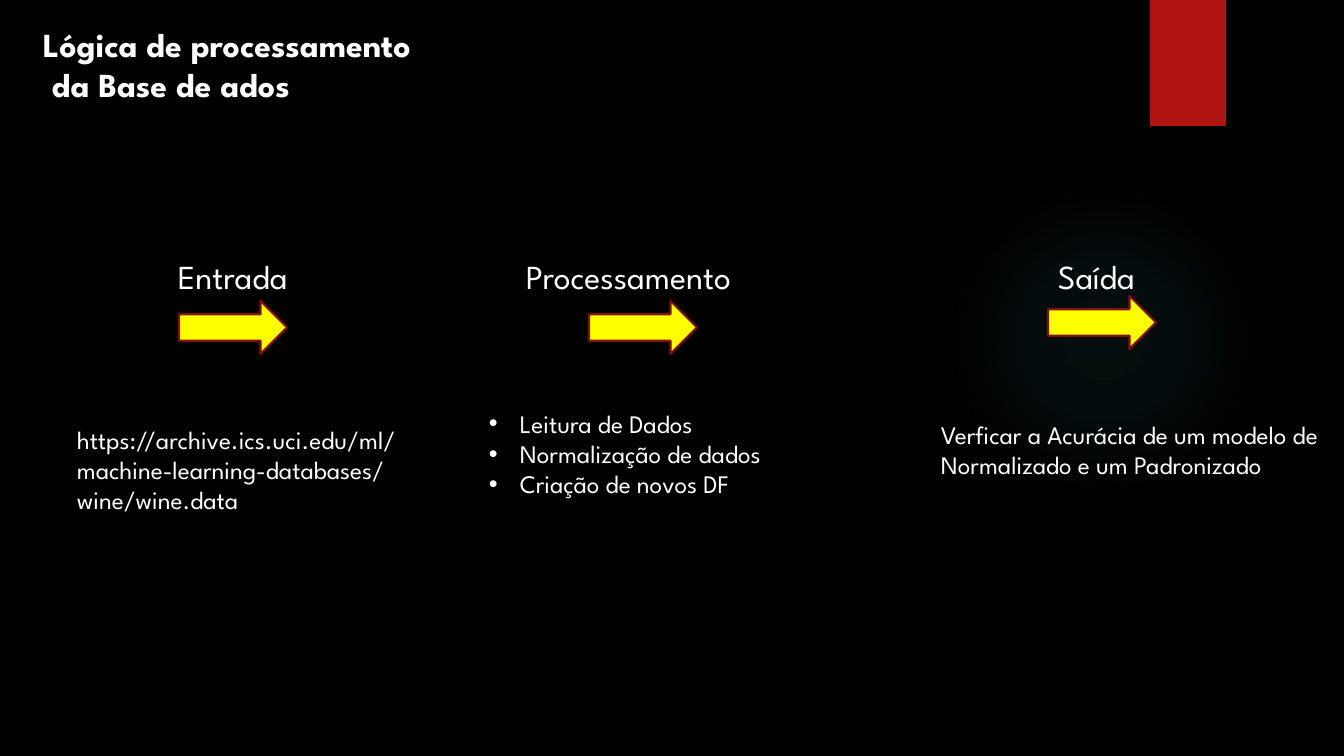
from lxml import etree
from pptx import Presentation
from pptx.dml.color import RGBColor
from pptx.enum.shapes import MSO_SHAPE
from pptx.enum.text import MSO_AUTO_SIZE
from pptx.oxml import parse_xml
from pptx.oxml.ns import nsdecls, qn
from pptx.util import Emu, Pt

RECTANGLE = MSO_SHAPE.RECTANGLE
ELLIPSE = MSO_SHAPE.OVAL
RIGHT_ARROW = MSO_SHAPE.RIGHT_ARROW
GROW = MSO_AUTO_SIZE.SHAPE_TO_FIT_TEXT

EMU_PER_PX = 914400 / 100.8
FONT = "League Spartan"
COLORS = {
    "background": "000000",
    "text": "FFFFFF",
    "ribbon": "B01513",
    "arrow": "FFFF00",
    "outline": "82100E",
    "glow": "50B9C1",
}
GLOW_STOPS = [(0, 7), (36, 6), (69, 0)]
BULLET_INDENT = 31
ARROW_SIZE = (108, 53)


def px(length):
    return Emu(round(length * EMU_PER_PX))


def color(name):
    return RGBColor.from_string(COLORS[name])


def write_text(frame, lines, size=18, bold=False, spacing=None, bullet=None):
    for index, line in enumerate(lines):
        para = frame.paragraphs[0] if index == 0 else frame.add_paragraph()
        if spacing:
            para.line_spacing = spacing
        if bullet:
            properties = para._p.get_or_add_pPr()
            properties.set("marL", str(px(BULLET_INDENT)))
            properties.set("indent", str(-px(BULLET_INDENT)))
            etree.SubElement(properties, qn("a:buFont")).set("typeface", "Arial")
            etree.SubElement(properties, qn("a:buChar")).set("char", bullet)
        span = para.add_run()
        span.text = line
        span.font.name = FONT
        span.font.size = Pt(size)
        span.font.bold = bold
        span.font.color.rgb = color("text")


class FlowSlide:
    def __init__(self, deck):
        self.page = deck.slides.add_slide(deck.slide_layouts[6])
        fill = self.page.background.fill
        fill.solid()
        fill.fore_color.rgb = color("background")

    def shape(self, kind, left, top, width, height, fill=None, line=None):
        shape = self.page.shapes.add_shape(
            kind, px(left), px(top), px(width), px(height))
        shape.shadow.inherit = False
        if fill:
            shape.fill.solid()
            shape.fill.fore_color.rgb = color(fill)
        if line:
            shape.line.color.rgb = color(line)
            shape.line.width = Pt(1.5)
        else:
            shape.line.fill.background()
        return shape

    def glow(self, left, top, size):
        shape = self.shape(ELLIPSE, left, top, size, size)
        stops = "".join(
            f'<a:gs pos="{place * 1000}"><a:srgbClr val="{COLORS["glow"]}">'
            f'<a:alpha val="{alpha * 1000}"/></a:srgbClr></a:gs>'
            for place, alpha in GLOW_STOPS)
        gradient = parse_xml(
            f'<a:gradFill {nsdecls("a")}><a:gsLst>{stops}</a:gsLst>'
            '<a:path path="circle"><a:fillToRect l="50000" t="50000" '
            'r="50000" b="50000"/></a:path></a:gradFill>')
        shape._element.spPr.find(qn("a:prstGeom")).addnext(gradient)

    def arrow(self, left, top):
        self.shape(RIGHT_ARROW, left, top, *ARROW_SIZE,
                   fill="arrow", line="outline")

    def text(self, lines, left, top, width, height, **style):
        box = self.page.shapes.add_textbox(
            px(left), px(top), px(width), px(height))
        box.text_frame.word_wrap = True
        box.text_frame.auto_size = GROW
        write_text(box.text_frame, lines, **style)


STAGES = [
    {
        "heading": ("Entrada", 168, 180),
        "arrow": (179, 301),
        "lines": ["https://archive.ics.uci.edu/ml/machine-learning-databases/wine/wine.data"],
        "body": (67, 419, 401, 102),
        "bullet": None,
    },
    {
        "heading": ("Processamento", 516, 278),
        "arrow": (589, 301),
        "lines": ["Leitura de Dados", "Normalização de dados", "Criação de novos DF"],
        "body": (479, 403, 383, 132),
        "bullet": "•",
    },
    {
        "heading": ("Saída", 1048, 253),
        "arrow": (1048, 296),
        "lines": ["Verficar a Acurácia de um modelo de Normalizado e um Padronizado"],
        "body": (931, 414, 401, 102),
        "bullet": None,
    },
]


def main():
    deck = Presentation()
    deck.slide_width, deck.slide_height = px(1344), px(756)
    slide = FlowSlide(deck)
    slide.glow(949, 184, 310)
    slide.shape(RECTANGLE, 1150, 0, 76, 126, fill="ribbon")
    slide.text(["Lógica de processamento  da Base de ados"],
               33, 19, 396, 132, size=24, bold=True)
    for stage in STAGES:
        heading, left, width = stage["heading"]
        slide.text([heading], left, 255, width, 46, size=24, spacing=0.9)
        slide.arrow(*stage["arrow"])
        slide.text(stage["lines"], *stage["body"], bullet=stage["bullet"])
    deck.save("out.pptx")


if __name__ == "__main__":
    main()
